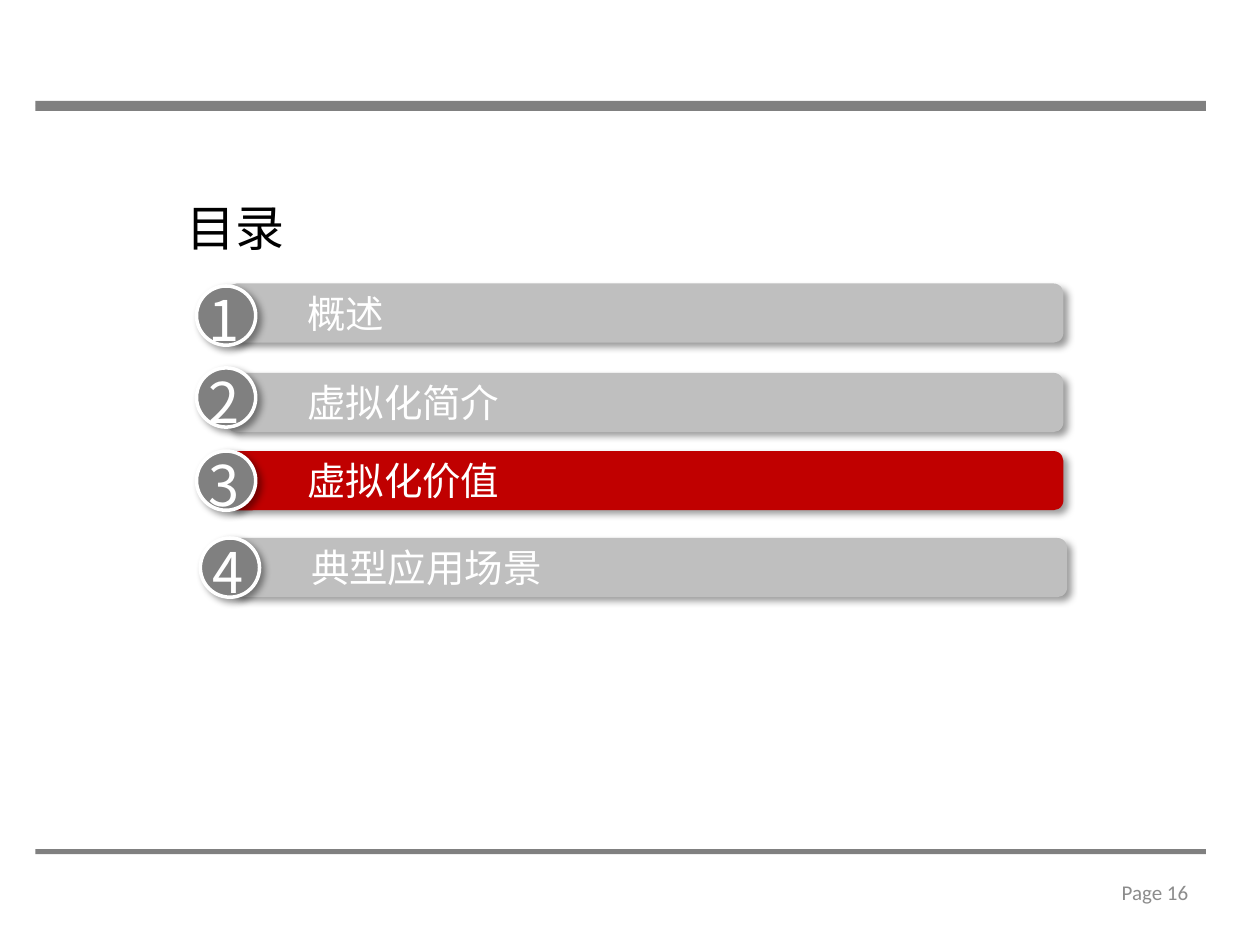
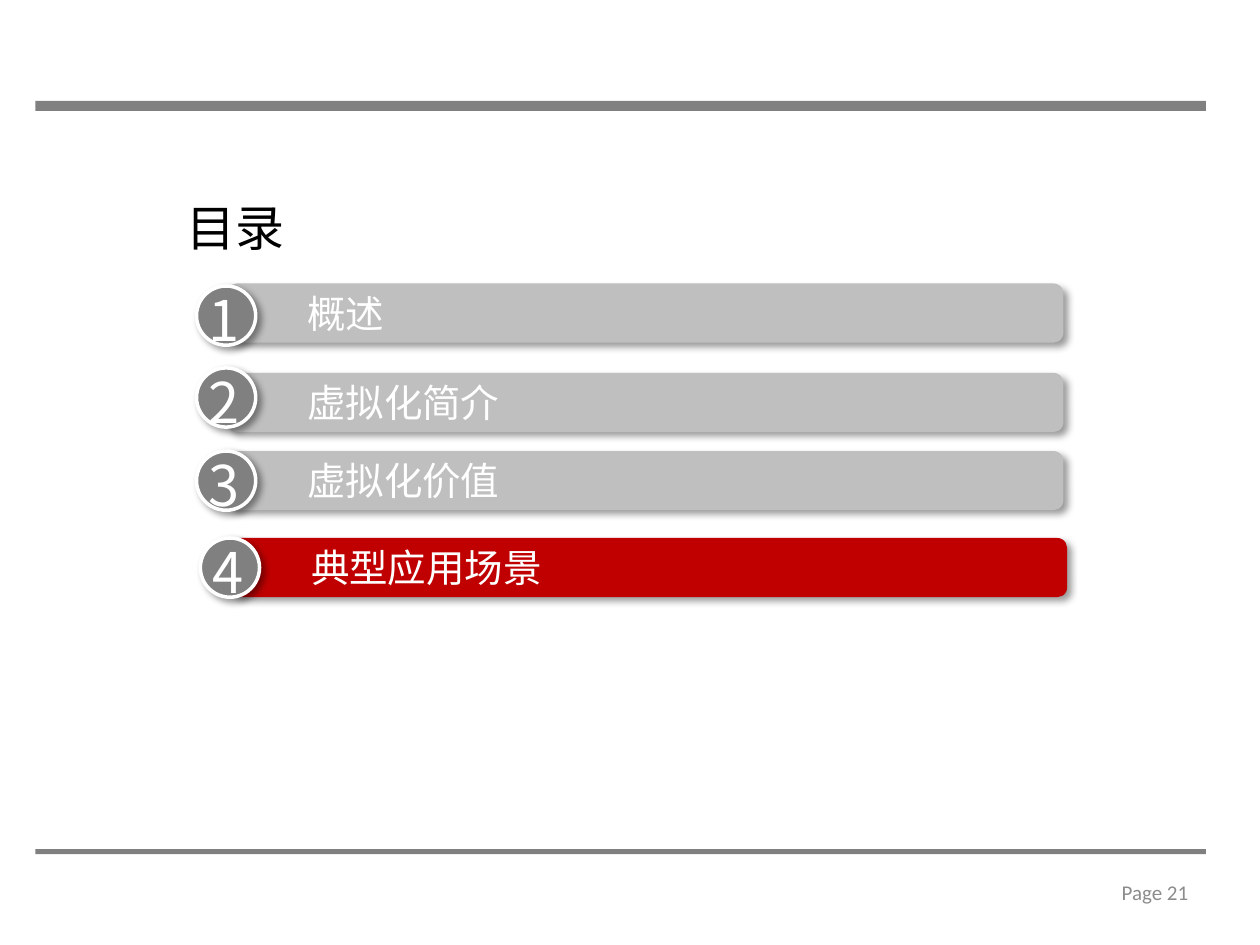
from lxml import etree
from pptx import Presentation
from pptx.dml.color import RGBColor
from pptx.enum.shapes import MSO_SHAPE
from pptx.enum.text import MSO_ANCHOR, MSO_AUTO_SIZE, PP_ALIGN
from pptx.oxml.ns import qn
from pptx.util import Inches, Pt

RECTANGLE = MSO_SHAPE.RECTANGLE
ROUNDED = MSO_SHAPE.ROUNDED_RECTANGLE
OVAL = MSO_SHAPE.OVAL
TOP, MIDDLE = MSO_ANCHOR.TOP, MSO_ANCHOR.MIDDLE
LEFT, RIGHT = PP_ALIGN.LEFT, PP_ALIGN.RIGHT
FIT_SHAPE, NO_FIT = MSO_AUTO_SIZE.SHAPE_TO_FIT_TEXT, MSO_AUTO_SIZE.NONE

COLORS = {
    "rule": "808080",
    "bar": "BFBFBF",
    "current": "C00000",
    "circle": "808080",
    "white": "FFFFFF",
    "title": "000000",
    "footer": "8C8C8C",
    "shadow": "000000",
}
CHINESE_FONT = "Noto Sans CJK SC"
FOOTER_FONT = "Calibri"

RULE_TOPS = [0.84, 0.8, 6.74]
ITEM_HEIGHT = 0.47

# Agenda entries: text, text width, bar top, circle top, shift to the right
AGENDA = [
    ("概述", 0.82, 2.25, 2.27, 0),
    ("虚拟化简介", 1.74, 2.96, 2.92, 0),
    ("虚拟化价值", 1.74, 3.58, 3.58, 0),
    ("典型应用场景", 2.05, 4.27, 4.27, 0.03),
]
# Page number and highlighted entry of each slide
PAGES = [(16, 3), (21, 4)]


def add_text(slide, text, left, top, width, height, *, size, color="white",
             font=CHINESE_FONT, align=LEFT, anchor=TOP, wrap=False):
    box = slide.shapes.add_textbox(Inches(left), Inches(top), Inches(width), Inches(height))
    frame = box.text_frame
    frame.word_wrap = wrap
    frame.auto_size = NO_FIT if wrap else FIT_SHAPE
    frame.vertical_anchor = anchor
    paragraph = frame.paragraphs[0]
    paragraph.alignment = align
    run = paragraph.add_run()
    run.text = text
    run.font.size = Pt(size)
    run.font.name = font
    run.font.color.rgb = RGBColor.from_string(COLORS[color])
    east_asian = etree.SubElement(run.font._element, qn("a:ea"))
    east_asian.set("typeface", font)


def add_block(slide, kind, left, top, width, height, fill, *, line=None, shadow=False):
    shape = slide.shapes.add_shape(kind, Inches(left), Inches(top), Inches(width), Inches(height))
    shape.fill.solid()
    shape.fill.fore_color.rgb = RGBColor.from_string(COLORS[fill])
    if line:
        shape.line.color.rgb = RGBColor.from_string(COLORS[line])
        shape.line.width = Pt(2)
    else:
        shape.line.fill.background()
    shape.shadow.inherit = False
    if shadow:
        effects = shape._element.spPr.find(qn("a:effectLst"))
        outer = etree.SubElement(effects, qn("a:outerShdw"), blurRad=str(Pt(4)),
                                 dist=str(Pt(3)), dir="2700000", algn="tl", rotWithShape="0")
        shade = etree.SubElement(outer, qn("a:srgbClr"), val=COLORS["shadow"])
        etree.SubElement(shade, qn("a:alpha"), val="40000")


presentation = Presentation()
presentation.slide_width = Inches(10)
presentation.slide_height = Inches(7.5)

for page_number, current in PAGES:
    slide = presentation.slides.add_slide(presentation.slide_layouts[6])

    # Rules, heading and page number
    for rule_top in RULE_TOPS:
        add_block(slide, RECTANGLE, 0.28, rule_top, 9.29, 0.04, "rule")
    add_text(slide, "目录", 1.38, 1.52, 0.99, 0.57, size=28, color="title")
    add_text(slide, f"Page {page_number}", 7.2, 6.82, 2.33, 0.52, size=12, color="footer",
             font=FOOTER_FONT, align=RIGHT, anchor=MIDDLE, wrap=True)

    # Agenda bars with numbered circles
    for number, (label, label_width, bar_top, circle_top, shift) in enumerate(AGENDA, start=1):
        bar_color = "current" if number == current else "bar"
        add_block(slide, ROUNDED, 1.8 + shift, bar_top, 6.64, ITEM_HEIGHT, bar_color, shadow=True)
        add_block(slide, OVAL, 1.56 + shift, circle_top, ITEM_HEIGHT, ITEM_HEIGHT, "circle",
                  line="white", shadow=True)
        add_text(slide, str(number), 1.56 + shift, circle_top - 0.05, 0.43, 0.64, size=32)
        add_text(slide, label, 2.34 + shift, bar_top, label_width, ITEM_HEIGHT, size=22)

presentation.save("out.pptx")
